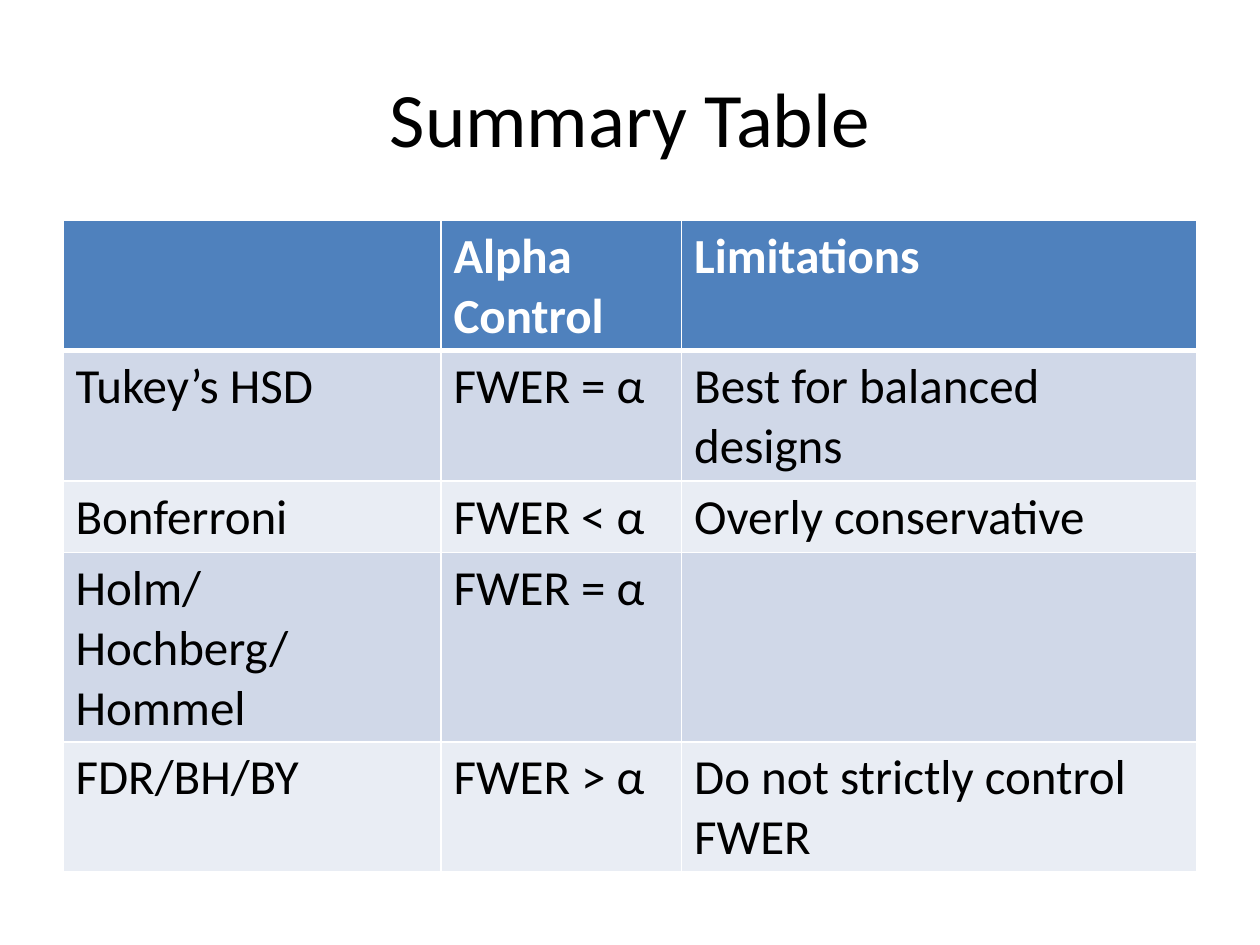
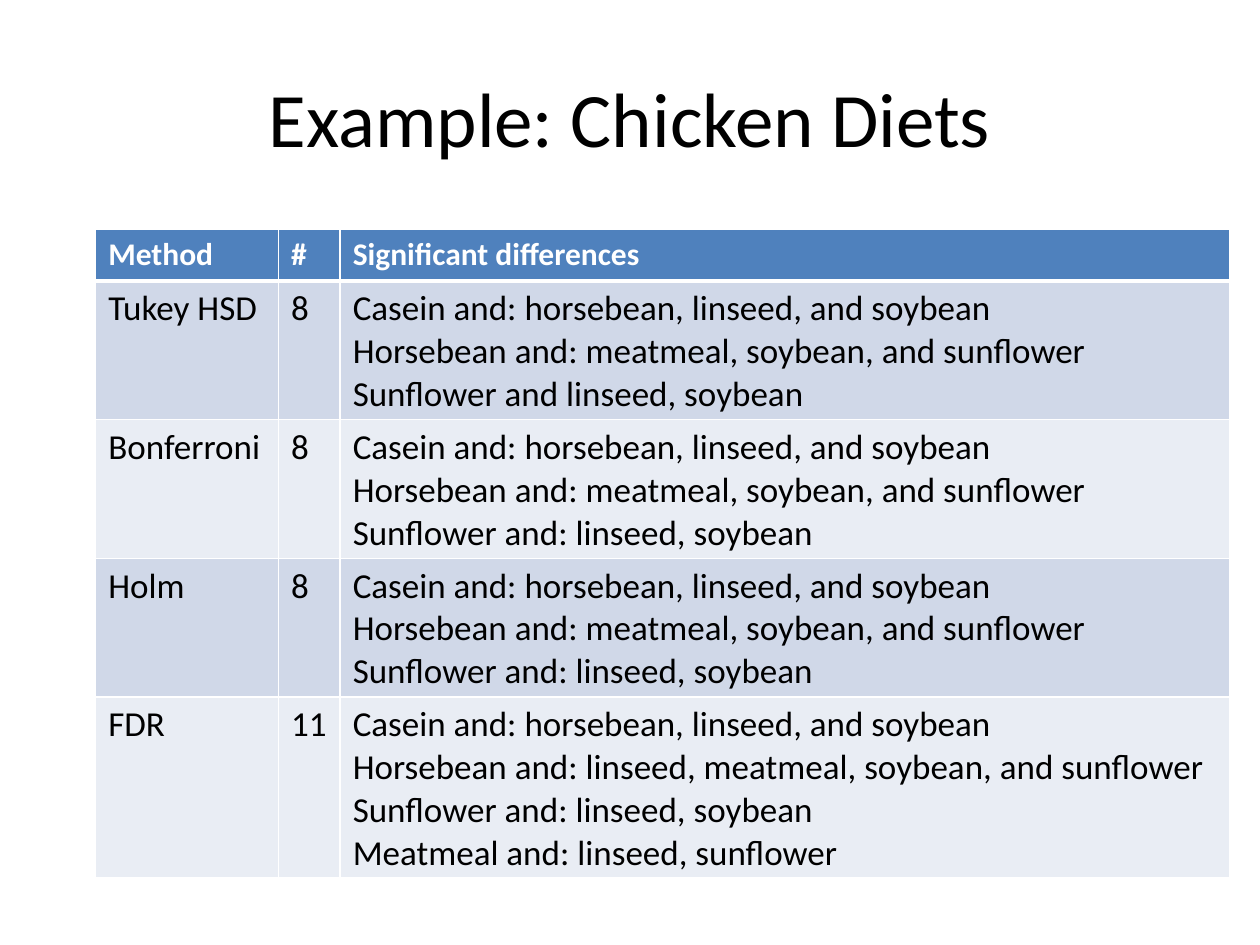
from lxml.etree import SubElement
from pptx import Presentation
from pptx.dml.color import RGBColor
from pptx.enum.text import MSO_ANCHOR, PP_ALIGN
from pptx.oxml.ns import qn
from pptx.util import Inches, Pt

HUES = {"ink": "000000", "paper": "FFFFFF", "head": "4F81BD", "odd": "D0D8E8", "even": "E9EDF4"}
FONT = "Calibri"
ROW = Inches(0.41)

deck = Presentation()
deck.slide_width, deck.slide_height = Inches(10), Inches(7.5)
W, H = deck.slide_width, deck.slide_height


def write(para, text, size, hue, bold=False):
    run = para.add_run()
    run.text = text
    run.font.name = FONT
    run.font.size = Pt(size)
    run.font.bold = bold
    run.font.color.rgb = RGBColor.from_string(HUES[hue])


def edge(cell, side, width):
    line = SubElement(cell._tc.get_or_add_tcPr(), qn(f"a:ln{side}"), w=str(Pt(width)))
    fill = SubElement(line, qn("a:solidFill"))
    SubElement(fill, qn("a:srgbClr"), val=HUES["paper"])


casein = "Casein and: horsebean, linseed, and soybean"
horse = "Horsebean and: meatmeal, soybean, and sunflower"
sun = "Sunflower and: linseed, soybean"

pages = [
    {
        "title": "Summary Table",
        "left": 0.05 * W, "top": 1.75 / 7.5 * H, "tall": 4.7 / 7.5 * H,
        "cols": [0.3, 0.191, 0.409],
        "sizes": (28, 28),
        "rows": [
            ["", "Alpha Control", "Limitations"],
            ["Tukey’s HSD", "FWER = α", "Best for balanced designs"],
            ["Bonferroni", "FWER < α", "Overly conservative"],
            ["Holm/Hochberg/Hommel", "FWER = α", ""],
            ["FDR/BH/BY", "FWER > α", "Do not strictly control FWER"],
        ],
    },
    {
        "title": "Example: Chicken Diets",
        "left": 0.076 * W, "top": 1.82 / 7.5 * H, "tall": 5.14 / 7.5 * H,
        "cols": [0.145, 0.049, 0.706],
        "sizes": (18, 20),
        "rows": [
            ["Method", "#", "Significant differences"],
            ["Tukey HSD", "8", "\n".join([casein, horse, "Sunflower and linseed, soybean"])],
            ["Bonferroni", "8", "\n".join([casein, horse, sun])],
            ["Holm", "8", "\n".join([casein, horse, sun])],
            ["FDR", "11", "\n".join([
                casein,
                "Horsebean and: linseed, meatmeal, soybean, and sunflower",
                sun,
                "Meatmeal and: linseed, sunflower",
            ])],
        ],
    },
]

for page in pages:
    slide = deck.slides.add_slide(deck.slide_layouts[6])

    title = slide.shapes.add_textbox(int(0.05 * W), int(0.04 * H), int(0.9 * W), int(H / 6))
    frame = title.text_frame
    frame.word_wrap = True
    frame.vertical_anchor = MSO_ANCHOR.MIDDLE
    frame.paragraphs[0].alignment = PP_ALIGN.CENTER
    write(frame.paragraphs[0], page["title"], 44, "ink")

    rows, cols = page["rows"], page["cols"]
    holder = slide.shapes.add_table(
        len(rows), len(cols), int(page["left"]), int(page["top"]), int(0.9 * W), int(page["tall"]))
    table = holder.table
    for col, share in zip(table.columns, cols):
        col.width = int(share * W)

    for r, row in enumerate(rows):
        table.rows[r].height = ROW
        head = r == 0
        band = "head" if head else "odd" if r % 2 else "even"
        for c, text in enumerate(row):
            cell = table.cell(r, c)
            for side in "LRTB":
                thick = (r, side) in [(0, "B"), (1, "T")]
                edge(cell, side, 3 if thick else 1)
            cell.fill.solid()
            cell.fill.fore_color.rgb = RGBColor.from_string(HUES[band])
            if not text:
                continue
            body = cell.text_frame
            for n, line in enumerate(text.split("\n")):
                para = body.add_paragraph() if n else body.paragraphs[0]
                write(para, line, page["sizes"][0 if head else 1], "paper" if head else "ink", head)
    holder.height = int(page["tall"])

deck.save("out.pptx")
